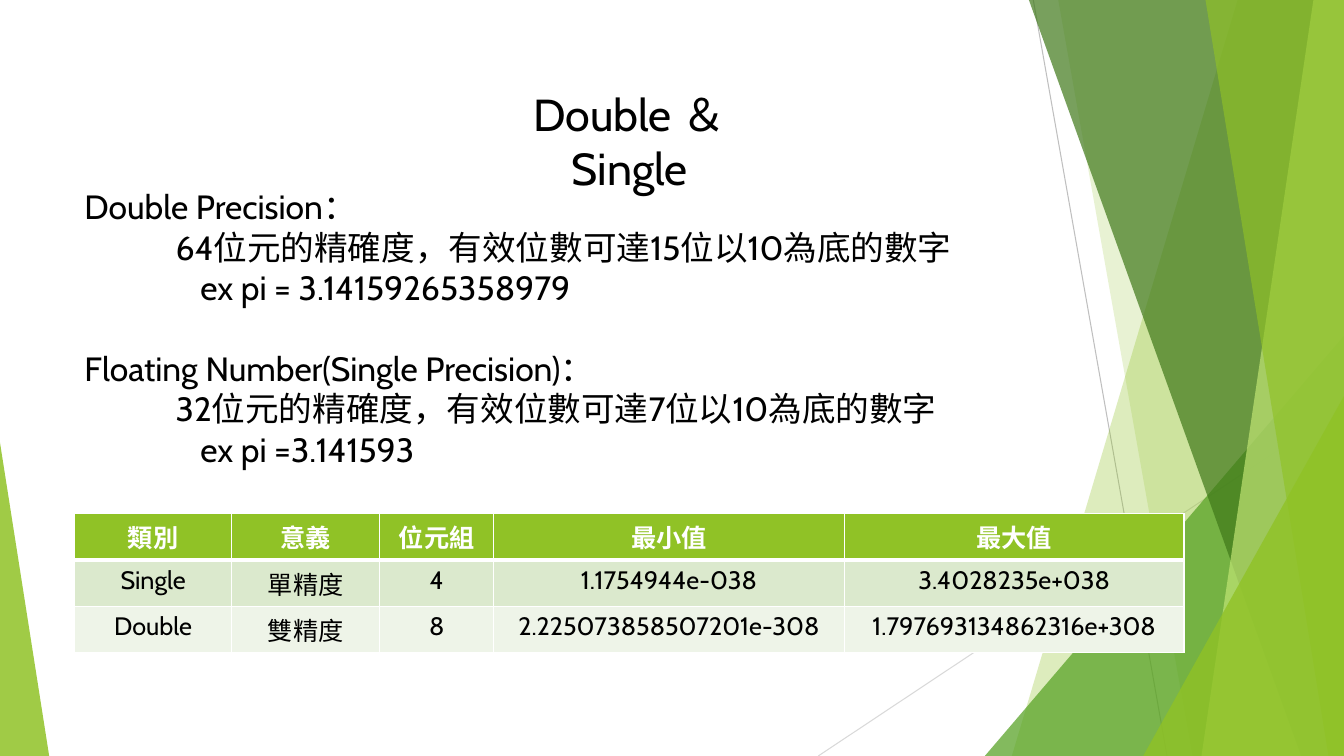
from lxml import etree
from pptx import Presentation
from pptx.dml.color import RGBColor
from pptx.enum.shapes import MSO_CONNECTOR as CONNECTOR, MSO_SHAPE as SHAPE
from pptx.enum.text import MSO_ANCHOR as ANCHOR, PP_ALIGN as ALIGN
from pptx.oxml.ns import qn
from pptx.util import Cm, Pt

WIDTH, HEIGHT = 33.87, 19.05
FONT = "Cabin"
BLACK = RGBColor(0x00, 0x00, 0x00)
WHITE = RGBColor(0xFF, 0xFF, 0xFF)
LIME = RGBColor(0x90, 0xC2, 0x26)
LEAF = RGBColor(0x54, 0xA0, 0x21)
FOREST = RGBColor(0x3F, 0x78, 0x19)
PALE_LIME = RGBColor(0xC0, 0xE4, 0x74)
MID_GREY = RGBColor(0xBF, 0xBF, 0xBF)
LIGHT_GREY = RGBColor(0xD9, 0xD9, 0xD9)
BAND_DARK = RGBColor(0xDB, 0xE9, 0xCD)
BAND_LIGHT = RGBColor(0xEE, 0xF4, 0xE8)

PRECISIONS = [
    ("Double Precision：", 0),
    ("64位元的精確度，有效位數可達15位以10為底的數字", 2.3),
    ("ex pi = 3.14159265358979", 2.92),
    ("Floating Number(Single Precision)：", 0),
    ("32位元的精確度，有效位數可達7位以10為底的數字", 2.3),
    ("ex pi =3.141593", 2.92),
]
COLUMN_WIDTHS = [3.96, 3.73, 2.87, 8.84, 8.56]
ROW_HEIGHT = 1.11
RANGES = [
    ("類別", "意義", "位元組", "最小值", "最大值"),
    ("Single", "單精度", "4", "1.1754944e-038", "3.4028235e+038"),
    ("Double", "雙精度", "8", "2.225073858507201e-308", "1.797693134862316e+308"),
]


def style_text(paragraph, size, color=BLACK, bold=False):
    """Set the font of every run in a paragraph."""
    for run in paragraph.runs:
        run.font.name, run.font.size, run.font.bold = FONT, Pt(size), bold
        run.font.color.rgb = color


def paint(facet, color, opacity):
    """Give a facet a translucent fill without line or shadow."""
    facet.shadow.inherit = False
    facet.line.fill.background()
    facet.fill.solid()
    facet.fill.fore_color.rgb = color
    color_xml = facet.fill._xPr.find(qn("a:solidFill"))[0]
    etree.SubElement(color_xml, qn("a:alpha"), val=str(opacity * 1000))


def add_ray(slide, start, end, color):
    """Draw a thin line between two points."""
    ray = slide.shapes.add_connector(CONNECTOR.STRAIGHT, *map(Cm, start + end))
    ray.line.color.rgb = color
    ray.line.width = Pt(0.75)
    etree.SubElement(ray._element.spPr, qn("a:effectLst"))


def add_sliver(slide, box, top_x, bottom_x, color, opacity):
    """Fill the band from a slanted edge to the right side of the box."""
    left, top, width, height = box
    right, bottom = left + width, top + height
    builder = slide.shapes.build_freeform(Cm(left + top_x), Cm(top))
    corners = [(right, top), (right, bottom), (left + bottom_x, bottom)]
    builder.add_line_segments([(Cm(x), Cm(y)) for x, y in corners])
    paint(builder.convert_to_shape(), color, opacity)


def add_wedge(slide, box, apex, color, opacity):
    """Draw a right triangle whose apex is at the given share of its width."""
    wedge = slide.shapes.add_shape(SHAPE.ISOSCELES_TRIANGLE, *map(Cm, box))
    wedge.adjustments[0] = apex
    paint(wedge, color, opacity)


def add_facets(slide, box):
    """Lay the green facets over the right end and the lower left corner."""
    left, top, width, height = box
    right, bottom = left + width, top + height

    def corner_wedge(wedge_width, wedge_height, color, opacity):
        """Set a wedge into the lower right corner."""
        place = (right - wedge_width, bottom - wedge_height, wedge_width, wedge_height)
        add_wedge(slide, place, 1, color, opacity)

    add_ray(slide, (left + 26.04, top), (left + 29.41, bottom), MID_GREY)
    add_ray(slide, (right, top + 10.24), (left + 20.62, bottom), LIGHT_GREY)
    add_sliver(slide, box, 31.19, 25.5, LIME, 30)
    add_sliver(slide, box, 26.67, 30.05, LIME, 20)
    corner_wedge(9.05, 10.59, LEAF, 72)
    add_sliver(slide, box, 25.93, 32.79, FOREST, 70)
    add_sliver(slide, box, 33.1, 30.28, PALE_LIME, 70)
    add_sliver(slide, box, 30.38, 33.48, LIME, 65)
    corner_wedge(5.06, 9.07, LIME, 80)
    add_wedge(slide, (left, bottom - 7.9, 1.24, 7.9), 0, LIME, 85)


def add_title(slide, box):
    """Place the centred heading in the title placeholder."""
    title = slide.shapes.title
    title.left, title.top, title.width, title.height = map(Cm, box)
    frame = title.text_frame
    frame.text = "Double ＆ Single"
    frame.word_wrap = True
    frame.vertical_anchor = ANCHOR.TOP
    frame.margin_left = frame.margin_right = Cm(1.2)
    heading = frame.paragraphs[0]
    heading.alignment = ALIGN.CENTER
    style_text(heading, 32)


def add_precisions(slide, box):
    """Write the two definitions with indented details."""
    frame = slide.shapes.add_textbox(*map(Cm, box)).text_frame
    frame.word_wrap = True
    frame.text = "\n".join(text for text, _ in PRECISIONS)
    for index, (paragraph, (_, indent)) in enumerate(zip(frame.paragraphs, PRECISIONS)):
        paragraph._p.get_or_add_pPr().set("marL", str(Cm(indent)))
        if index and not indent:
            paragraph.space_before = Pt(29)
        style_text(paragraph, 24)


def add_borders(cell, bottom_width):
    """Draw white borders around a cell."""
    properties = cell._tc.get_or_add_tcPr()
    widths = {"a:lnL": 1, "a:lnR": 1, "a:lnT": 1, "a:lnB": bottom_width}
    for position, (tag, width) in enumerate(widths.items()):
        border = etree.Element(qn(tag), w=str(Pt(width)))
        fill = etree.SubElement(border, qn("a:solidFill"))
        etree.SubElement(fill, qn("a:srgbClr"), val=str(WHITE))
        properties.insert(position, border)


def add_ranges(slide, box):
    """Build the table of types and their limits."""
    table = slide.shapes.add_table(len(RANGES), len(COLUMN_WIDTHS), *map(Cm, box)).table
    for column, width in zip(table.columns, COLUMN_WIDTHS):
        column.width = Cm(width)
    for row_index, (values, band) in enumerate(zip(RANGES, (LIME, BAND_DARK, BAND_LIGHT))):
        header = row_index == 0
        table.rows[row_index].height = Cm(ROW_HEIGHT)
        for column_index, value in enumerate(values):
            cell = table.cell(row_index, column_index)
            cell.text_frame.text = value
            cell.fill.solid()
            cell.fill.fore_color.rgb = band
            add_borders(cell, 3 if header else 1)
            label = cell.text_frame.paragraphs[0]
            label.alignment = ALIGN.CENTER
            style_text(label, 18, WHITE if header else BLACK, header)


def main():
    """Build and save the slide."""
    deck = Presentation()
    deck.slide_width, deck.slide_height = Cm(WIDTH), Cm(HEIGHT)
    slide = deck.slides.add_slide(deck.slide_layouts[5])
    add_facets(slide, (0, 0, WIDTH, HEIGHT))
    add_ranges(slide, (1.88, 12.93, sum(COLUMN_WIDTHS), ROW_HEIGHT * len(RANGES)))
    add_title(slide, (11.43, 2.06, 8.89, 2.5))
    add_precisions(slide, (1.88, 4.57, 27.96, 8.2))
    deck.save("out.pptx")


if __name__ == "__main__":
    main()
